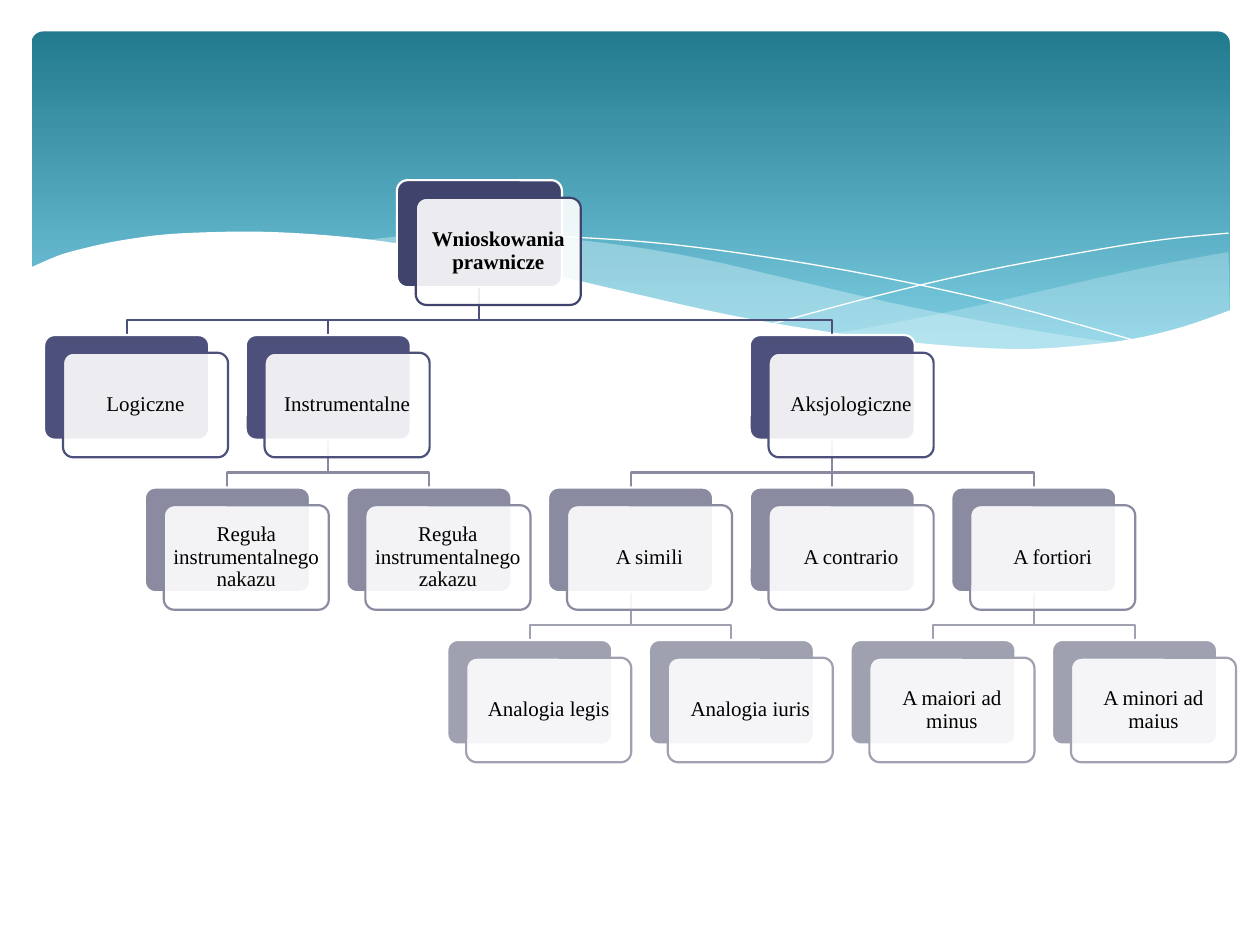
from pptx import Presentation
from pptx.dml.color import RGBColor
from pptx.enum.shapes import MSO_CONNECTOR as CONN, MSO_SHAPE as SHAPE
from pptx.enum.text import MSO_ANCHOR as ANCHOR, PP_ALIGN as ALIGN
from pptx.oxml.ns import qn
from pptx.util import Inches, Pt
from lxml.etree import SubElement

# Tree: key -> (text, parent, level, column in half steps)
NODES = {
    "root": ("Wnioskowania prawnicze", None, 0, 3.5),
    "logic": ("Logiczne", "root", 1, 0),
    "instr": ("Instrumentalne", "root", 1, 2),
    "order": ("Reguła instrumentalnego nakazu", "instr", 2, 1),
    "ban": ("Reguła instrumentalnego zakazu", "instr", 2, 3),
    "axio": ("Aksjologiczne", "root", 1, 7),
    "simili": ("A simili", "axio", 2, 5),
    "legis": ("Analogia legis", "simili", 3, 4),
    "iuris": ("Analogia iuris", "simili", 3, 6),
    "contrario": ("A contrario", "axio", 2, 7),
    "fortiori": ("A fortiori", "axio", 2, 9),
    "maiori": ("A maiori ad minus", "fortiori", 3, 8),
    "minori": ("A minori ad maius", "fortiori", 3, 10),
}
COLORS = ["40446D", "4C507A", "8A8BA0", "9FA0B0"]  # by level
TOPS = [1.43, 2.66, 3.87, 5.08]
HEIGHTS = [0.85, 0.83, 0.83, 0.83]
LEFT, HALF_STEP, CARD_W = 0.35, 0.8, 1.31
SHIFT_X, SHIFT_Y, ELBOW_UP = 0.15, 0.14, 0.12

# Header waves: key points of smooth curves, then straight corners
RIGHT_WAVE = [
    [(9.75, 2), (9.21, 2.1), (8.61, 2.23), (7.79, 2.42), (7.06, 2.57), (6.61, 2.65)],
    [(6.61, 2.65), (7.19, 2.72), (7.69, 2.77), (8.14, 2.78), (8.63, 2.75),
     (9.05, 2.69), (9.42, 2.59), (9.76, 2.47)],
]
MIDDLE_WAVE = [
    [(8.93, 2.73), (8.37, 2.65), (7.75, 2.54), (7.06, 2.4), (6.29, 2.22),
     (5.55, 2.05), (4.89, 1.94), (4.2, 1.87), (3.61, 1.85), (3.13, 1.88), (2.86, 1.91)],
    [(2.86, 1.91), (3.42, 1.99), (4.04, 2.11), (4.91, 2.32), (5.66, 2.48),
     (6.34, 2.61), (6.95, 2.7), (7.48, 2.76), (8.07, 2.78), (8.57, 2.77), (8.93, 2.73)],
]
FALLING_LINE = [[(3.09, 1.95), (3.44, 1.9), (4.01, 1.87), (4.69, 1.89), (5.33, 1.94),
                 (6.08, 2.04), (6.95, 2.19), (7.95, 2.41), (9.07, 2.72)]]
RISING_LINE = [[(6.13, 2.57), (6.95, 2.35), (7.76, 2.16), (8.66, 1.99),
                (9.24, 1.9), (9.75, 1.85)]]
WHITE_WAVE = [
    [(9.77, 2.46), (9.4, 2.59), (8.99, 2.69), (8.5, 2.75), (8.09, 2.77), (7.61, 2.75),
     (7.08, 2.7), (6.48, 2.62), (5.79, 2.5), (5.03, 2.33), (4.47, 2.2), (3.91, 2.07),
     (3.4, 1.97), (2.92, 1.9), (2.5, 1.86), (2.11, 1.84), (1.77, 1.84), (1.32, 1.86),
     (0.95, 1.91), (0.67, 1.97), (0.46, 2.03), (0.23, 2.13)],
    [(0.23, 3.29)], [(9.77, 3.29)],
]


def rgb(color):
    return RGBColor.from_string(color)


def paint(sp, fill=None, alpha=None, line=None, width=1.25):
    sp.shadow.inherit = False
    if fill:
        sp.fill.solid()
        sp.fill.fore_color.rgb = rgb(fill)
        if alpha:
            clr = sp.fill._xPr.find(qn("a:solidFill"))[0]
            SubElement(clr, qn("a:alpha"), val=str(alpha * 1000))
    else:
        sp.fill.background()
    style_line(sp, line, width)


def style_line(sp, color, width=1.25):
    if color:
        sp.line.color.rgb = rgb(color)
        sp.line.width = Pt(width)
    else:
        sp.line.fill.background()


def add_text(sp, text, size=12, bold=False, color="000000", font="Times New Roman"):
    tf = sp.text_frame
    tf.word_wrap = True
    tf.vertical_anchor = ANCHOR.MIDDLE
    tf.margin_left = tf.margin_right = tf.margin_top = tf.margin_bottom = Inches(0.04)
    p = tf.paragraphs[0]
    p.alignment, p.line_spacing = ALIGN.CENTER, 0.9
    r = p.add_run()
    r.text = text
    r.font.name, r.font.size, r.font.bold = font, Pt(size), bold
    r.font.color.rgb = rgb(color)


def smooth(pts, steps=4):
    """Points of a Catmull-Rom curve through pts."""
    ends = [pts[0], *pts, pts[-1]]
    curve = [pts[0]]
    for a, b, c, d in zip(ends, ends[1:], ends[2:], ends[3:]):
        for t in (n / steps for n in range(1, steps + 1)):
            curve.append(tuple(
                (2 * q + (r - o) * t + (2 * o - 5 * q + 4 * r - s) * t ** 2
                 + (3 * q - o - 3 * r + s) * t ** 3) / 2
                for o, q, r, s in zip(a, b, c, d)))
    return curve


def add_path(pts, close=False, **look):
    pts = [(Inches(x), Inches(y)) for x, y in pts]
    fb = shapes.build_freeform(*pts[0])
    fb.add_line_segments(pts[1:], close=close)
    sp = fb.convert_to_shape()
    paint(sp, **look)
    return sp


def add_wave(curves, **look):
    add_path([pt for curve in curves for pt in smooth(curve)], **look)


def add_card(x, y, w, h, radius=0.1, **look):
    sp = shapes.add_shape(SHAPE.ROUNDED_RECTANGLE, *map(Inches, (x, y, w, h)))
    sp.adjustments[0] = radius
    paint(sp, **look)
    return sp


def add_link(parent, child):
    _, _, up, col_a = NODES[parent]
    _, _, down, col_b = NODES[child]
    x1, x2 = (LEFT + col * HALF_STEP + CARD_W / 2 for col in (col_a, col_b))
    y1, y2 = TOPS[up] + HEIGHTS[up], TOPS[down]
    if col_a != col_b:
        bend = y2 - ELBOW_UP
        return add_path([(x1, y1), (x1, bend), (x2, bend), (x2, y2)], line=COLORS[down])
    link = shapes.add_connector(CONN.STRAIGHT, *map(Inches, (x1, y1, x2, y2)))
    link.begin_connect(backs[parent], 2)
    link.end_connect(backs[child], 0)
    style_line(link, COLORS[down])
    SubElement(link._element.spPr, qn("a:effectLst"))
    return link


prs = Presentation()
prs.slide_width, prs.slide_height = Inches(10), Inches(7.5)
shapes = prs.slides.add_slide(prs.slide_layouts[6]).shapes

# Header band with waves
band = add_card(0.25, 0.25, 9.51, 2.7, radius=0.034)
band.fill.gradient()
band.fill.gradient_angle = 270
for stop, color, pos in zip(band.fill.gradient_stops, ("227A8F", "7ACBE0"), (0, 0.9)):
    stop.color.rgb, stop.position = rgb(color), pos
add_wave(RIGHT_WAVE, close=True, fill="DEF5FA", alpha=29)
add_wave(MIDDLE_WAVE, close=True, fill="DEF5FA", alpha=40)
for curve_line in (FALLING_LINE, RISING_LINE):
    add_wave(curve_line, line="FFFFFF", width=0)
add_wave(WHITE_WAVE, close=True, fill="FFFFFF")

# Cards: a coloured back and a translucent front with the text
backs = {}
for key, (text, _, level, col) in NODES.items():
    x, y, size = LEFT + col * HALF_STEP, TOPS[level], (CARD_W, HEIGHTS[level])
    backs[key] = add_card(x, y, *size, fill=COLORS[level], line="FFFFFF")
    front = add_card(x + SHIFT_X, y + SHIFT_Y, *size, fill="FFFFFF", alpha=90,
                     line=COLORS[level])
    add_text(front, text, bold=level == 0)

# Links, placed behind the cards
for key, (_, parent, _, _) in NODES.items():
    if parent:
        backs["root"]._element.addprevious(add_link(parent, key)._element)

prs.save("out.pptx")
